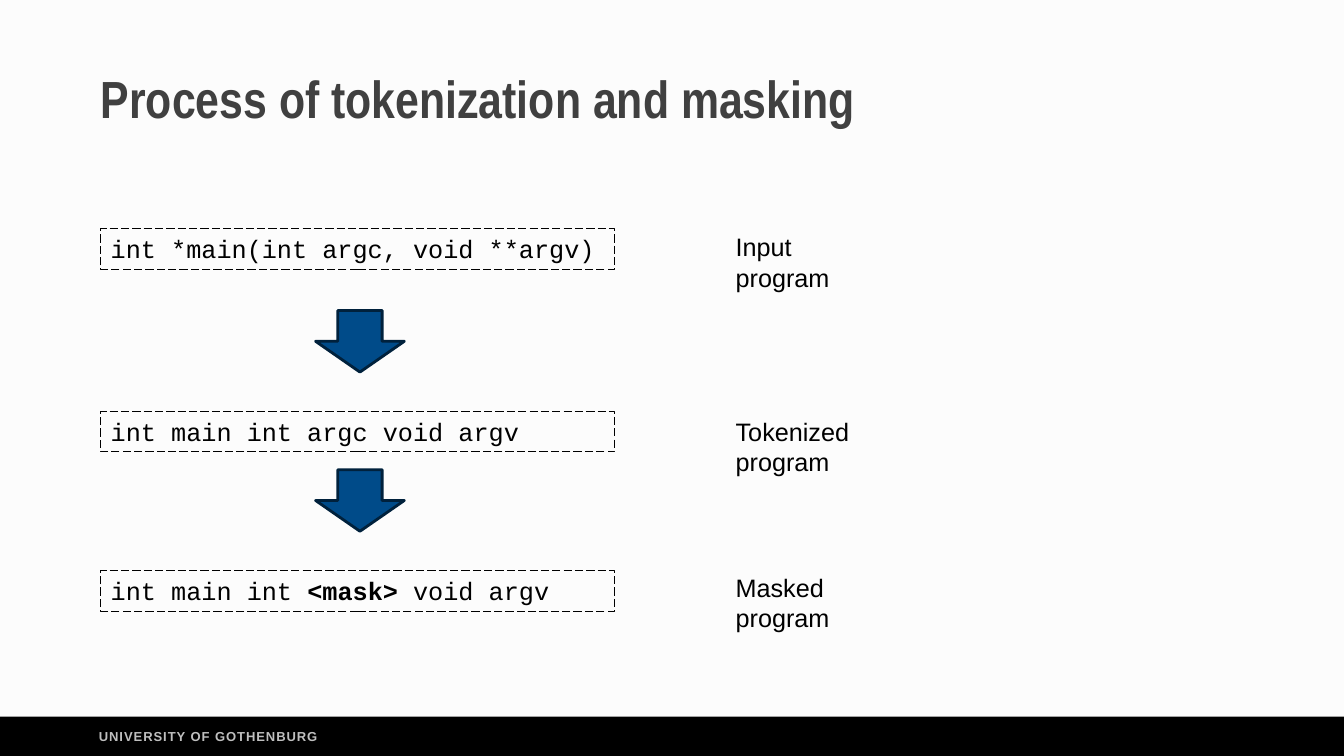
from dataclasses import dataclass

from pptx import Presentation
from pptx.dml.color import RGBColor
from pptx.enum.dml import MSO_LINE
from pptx.enum.shapes import MSO_SHAPE
from pptx.enum.text import MSO_ANCHOR, PP_ALIGN
from pptx.util import Pt

RECTANGLE = MSO_SHAPE.RECTANGLE
DOWN_ARROW = MSO_SHAPE.DOWN_ARROW
LONG_DASH = MSO_LINE.LONG_DASH
LEFT = PP_ALIGN.LEFT
TOP = MSO_ANCHOR.TOP


@dataclass(frozen=True)
class Theme:
    background: str = "FCFCFC"
    ink: str = "000000"
    title: str = "404040"
    footer: str = "BFBFBF"
    arrow: str = "004B89"
    arrow_edge: str = "00213C"
    title_size: float = 37.3
    body_size: float = 18
    footer_size: float = 9.3


THEME = Theme()


def add_shape(kind, left, top, width, height, fill=None, line=None, weight=0.75):
    shape = slide.shapes.add_shape(kind, Pt(left), Pt(top), Pt(width), Pt(height))
    shape.shadow.inherit = False
    for paint, color in ((shape.fill, fill), (shape.line.fill, line)):
        if color:
            paint.solid()
            paint.fore_color.rgb = RGBColor.from_string(color)
        else:
            paint.background()
    if line:
        shape.line.width = Pt(weight)
    return shape


def write(box, text, font="Arial", size=THEME.body_size, color=THEME.ink,
          bold=False, bold_part=None, inset=(7.2, 3.6), line_spacing=None, tracking=0):
    """Fill a box with one paragraph; bold_part is the stretch of text to embolden."""
    frame = box.text_frame
    frame.word_wrap = True
    frame.vertical_anchor = TOP
    frame.margin_left = frame.margin_right = Pt(inset[0])
    frame.margin_top = frame.margin_bottom = Pt(inset[1])
    para = frame.paragraphs[0]
    para.alignment = LEFT
    para.line_spacing = line_spacing
    pieces = [(text, bold)]
    if bold_part:
        before, middle, after = text.partition(bold_part)
        pieces = [(before, bold), (middle, True), (after, bold)]
    for piece, heavy in pieces:
        span = para.add_run()
        span.text = piece
        span.font.name = font
        span.font.size = Pt(size)
        span.font.bold = heavy
        span.font.color.rgb = RGBColor.from_string(color)
        if tracking:
            span.font._element.set("spc", str(round(tracking * 100)))


deck = Presentation()
deck.slide_width, deck.slide_height = Pt(960), Pt(540)
slide = deck.slides.add_slide(deck.slide_layouts[6])
slide.background.fill.solid()
slide.background.fill.fore_color.rgb = RGBColor.from_string(THEME.background)

# Footer and title
add_shape(RECTANGLE, 0, 511.9, 960, 30, fill=THEME.ink)
footer = slide.shapes.add_textbox(Pt(70.6), Pt(520.6), Pt(190), Pt(18))
write(footer, "UNIVERSITY OF GOTHENBURG", size=THEME.footer_size, color=THEME.footer,
      bold=True, inset=(0, 0), tracking=0.7)
title = slide.shapes.add_textbox(Pt(72), Pt(52.6), Pt(822), Pt(60))
write(title, "Process of tokenization and masking", font="Arial Narrow",
      size=THEME.title_size, color=THEME.title, bold=True, inset=(0, 0), line_spacing=0.9)

# Stages: code, bold part, label, code top, label top, label width
STAGES = [
    ("int *main(int argc, void **argv)", None, "Input program", 163.4, 162, 121),
    ("int main int argc void argv", None, "Tokenized program", 293.8, 293.8, 154),
    ("int main int <mask> void argv", "<mask> ", "Masked program", 407.5, 405.4, 142.5),
]
ARROW_RISE = 72  # from an arrow's top to the code box it leads to

for index, (code, bold_part, label, code_top, label_top, label_width) in enumerate(STAGES):
    if index > 0:
        add_shape(DOWN_ARROW, 225.4, code_top - ARROW_RISE, 63.4, 44,
                  fill=THEME.arrow, line=THEME.arrow_edge, weight=2)
    code_box = add_shape(RECTANGLE, 72, code_top, 367.2, 29, line=THEME.ink)
    code_box.line.dash_style = LONG_DASH
    write(code_box, code, font="Courier New", bold_part=bold_part)
    label_box = slide.shapes.add_textbox(Pt(518.4), Pt(label_top), Pt(label_width), Pt(29))
    write(label_box, label)

deck.save("out.pptx")
